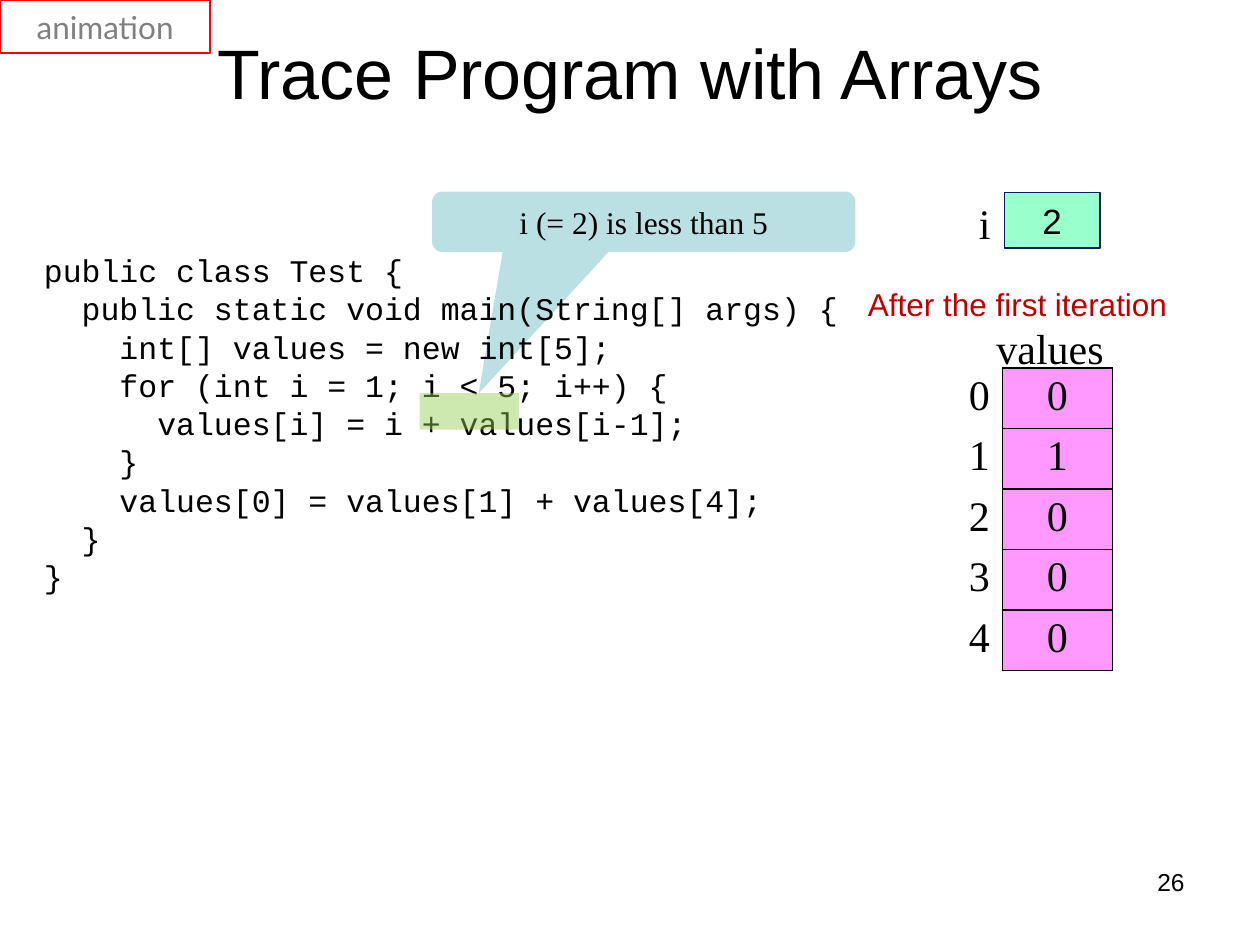
from dataclasses import dataclass

from pptx import Presentation
from pptx.dml.color import RGBColor as Rgb
from pptx.enum.shapes import MSO_SHAPE as Shape
from pptx.enum.text import MSO_ANCHOR as Anchor, PP_ALIGN as Align
from pptx.oxml import parse_xml
from pptx.oxml.ns import nsdecls
from pptx.util import Inches, Pt


@dataclass(frozen=True)
class Theme:
    black: str = "000000"
    gray: str = "808080"
    red: str = "FF0000"
    dark_red: str = "C00000"
    navy: str = "002060"
    callout: str = "BBE0E3"
    highlight: str = "92D050"
    cell: str = "FF99FF"
    variable: str = "99FFCC"
    sans: str = "Arial"
    serif: str = "Times New Roman"
    mono: str = "Courier New"
    tag: str = "Lato"
    title_size: int = 40
    label_size: int = 24
    value_size: int = 20
    body_size: int = 18
    number_size: int = 14


THEME = Theme()

# Text formats: font, size, colour, alignment
TITLE = (THEME.sans, THEME.title_size, THEME.black, Align.CENTER)
CODE = (THEME.mono, THEME.body_size, THEME.black, Align.LEFT)
CALLOUT = (THEME.serif, THEME.body_size, THEME.black, Align.CENTER)
TAG = (THEME.tag, THEME.body_size, THEME.gray, Align.CENTER)
NOTE = (THEME.sans, THEME.body_size, THEME.dark_red, Align.LEFT)
LABEL = (THEME.serif, THEME.label_size, THEME.black, Align.LEFT)
INDEX = (THEME.serif, THEME.label_size, THEME.black, Align.RIGHT)
ELEMENT = (THEME.serif, THEME.label_size, THEME.black, Align.CENTER)
VARIABLE = (THEME.sans, THEME.value_size, THEME.black, Align.CENTER)
NUMBER = (THEME.sans, THEME.number_size, THEME.black, Align.RIGHT)

CODE_LINES = """\
public class Test {
  public static void main(String[] args) {
    int[] values = new int[5];
    for (int i = 1; i < 5; i++) {
      values[i] = i + values[i-1];
    }
    values[0] = values[1] + values[4];
  }
}""".split("\n")
VALUES = [0, 1, 0, 0, 0]


class SlideBuilder:
    def __init__(self, deck, theme):
        self.theme = theme
        self.page = deck.slides.add_slide(deck.slide_layouts[6])

    def fill_text(self, frame, lines, style, spacing=None, before=0):
        font, size, color, align = style
        for number, line in enumerate(lines):
            para = frame.paragraphs[0] if number == 0 else frame.add_paragraph()
            para.alignment = align
            if spacing:
                para.line_spacing = spacing
            para.space_before = Pt(before if number else 0)
            span = para.add_run()
            span.text = line
            formats = {"name": font, "size": Pt(size), "bold": False}
            for name, value in formats.items():
                setattr(span.font, name, value)
            span.font.color.rgb = Rgb.from_string(color)

    def text(self, place, lines, style, wrap=True, anchor=Anchor.TOP, **spacing):
        box = self.page.shapes.add_textbox(*map(Inches, place))
        frame = box.text_frame
        for name, value in {"word_wrap": wrap, "vertical_anchor": anchor}.items():
            setattr(frame, name, value)
        self.fill_text(frame, lines, style, **spacing)

    def shape(self, kind, place, fill=None, line=None, width=1, text=None,
              style=None, adjust=(), alpha=None):
        shape = self.page.shapes.add_shape(kind, *map(Inches, place))
        shape.shadow.inherit = False
        for number, value in enumerate(adjust):
            shape.adjustments[number] = value
        if fill:
            shape.fill.solid()
            shape.fill.fore_color.rgb = Rgb.from_string(fill)
        else:
            shape.fill.background()
        if alpha:
            color = shape.element.spPr.find(".//{*}srgbClr")
            color.append(parse_xml(
                f'<a:alpha {nsdecls("a")} val="{alpha * 1000}"/>'))
        if line:
            shape.line.color.rgb = Rgb.from_string(line)
            shape.line.width = Pt(width)
        else:
            shape.line.fill.background()
        if text:
            shape.text_frame.vertical_anchor = Anchor.MIDDLE
            self.fill_text(shape.text_frame, [text], style)

    def border(self, cell, sides):
        properties = cell._tc.get_or_add_tcPr()
        for number, side in enumerate(sides):
            properties.insert(number, parse_xml(
                f'<a:ln{side} {nsdecls("a")} w="{Pt(1)}"><a:solidFill>'
                f'<a:srgbClr val="{self.theme.black}"/></a:solidFill></a:ln{side}>'))

    def array(self, place, values):
        frame = self.page.shapes.add_table(len(values), 2, *map(Inches, place))
        table = frame.table
        table.first_row = table.horz_banding = False
        for row, value in enumerate(values):
            for column, (content, style) in enumerate(
                    [(row, INDEX), (value, ELEMENT)]):
                cell = table.cell(row, column)
                cell.margin_top = cell.margin_bottom = Inches(0.04)
                self.fill_text(cell.text_frame, [str(content)], style)
                if column:
                    cell.fill.solid()
                    cell.fill.fore_color.rgb = Rgb.from_string(self.theme.cell)
                else:
                    cell.fill.background()
                self.border(cell, "LRTB" if column else "R")


def main():
    deck = Presentation()
    deck.slide_width, deck.slide_height = Inches(10), Inches(7.5)
    slide = SlideBuilder(deck, THEME)

    # Callout behind the code
    slide.shape(Shape.ROUNDED_RECTANGULAR_CALLOUT, (3.43, 1.52, 3.36, 0.48),
                fill=THEME.callout, text="i (= 2) is less than 5", style=CALLOUT,
                adjust=(-0.39, 2.84, 0.17))

    # Code and title
    slide.text((0.25, 2, 6.54, 3.08), CODE_LINES, CODE, spacing=0.8, before=4.6)
    slide.text((0.5, 0.3, 9, 0.54), ["Trace Program with Arrays"], TITLE,
               anchor=Anchor.MIDDLE)

    # Highlight and corner tag
    slide.shape(Shape.RECTANGLE, (3.33, 3.12, 0.79, 0.29),
                fill=THEME.highlight, alpha=45)
    slide.shape(Shape.RECTANGLE, (0, 0, 1.67, 0.42), line=THEME.red,
                text="animation", style=TAG)

    # Array contents, page number and labels
    slide.array((7.08, 2.92, 1.75, 2.35), VALUES)
    slide.text((7.17, 6.83, 2.33, 0.52), ["26"], NUMBER)
    slide.text((6.79, 2.21, 2.6, 0.41), ["After the first iteration"], NOTE,
               wrap=False)
    slide.text((7.81, 2.51, 1.06, 0.51), ["values"], LABEL, wrap=False)

    # Loop variable
    slide.text((7.67, 1.52, 0.29, 0.51), ["i"], LABEL, wrap=False)
    slide.shape(Shape.RECTANGLE, (7.97, 1.53, 0.76, 0.44), fill=THEME.variable,
                line=THEME.navy, width=0.75, text="2", style=VARIABLE)

    deck.save("out.pptx")


if __name__ == "__main__":
    main()
